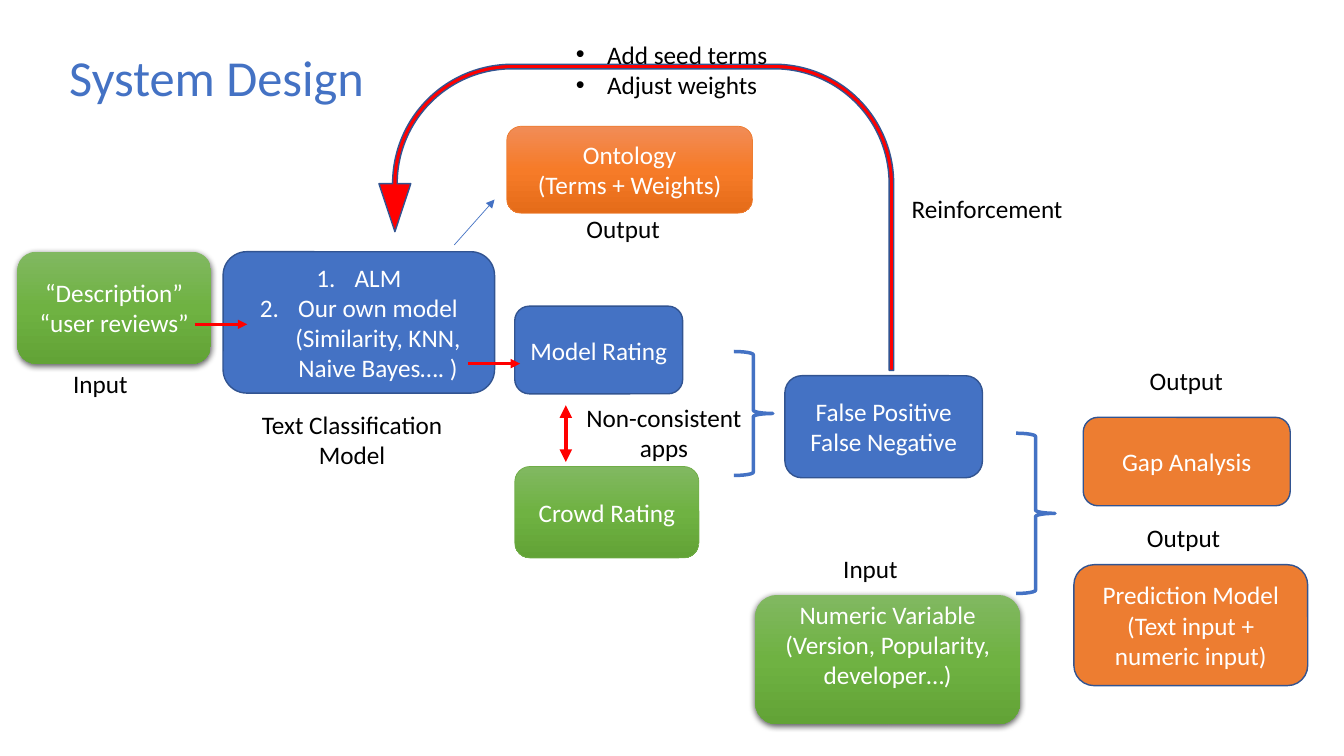
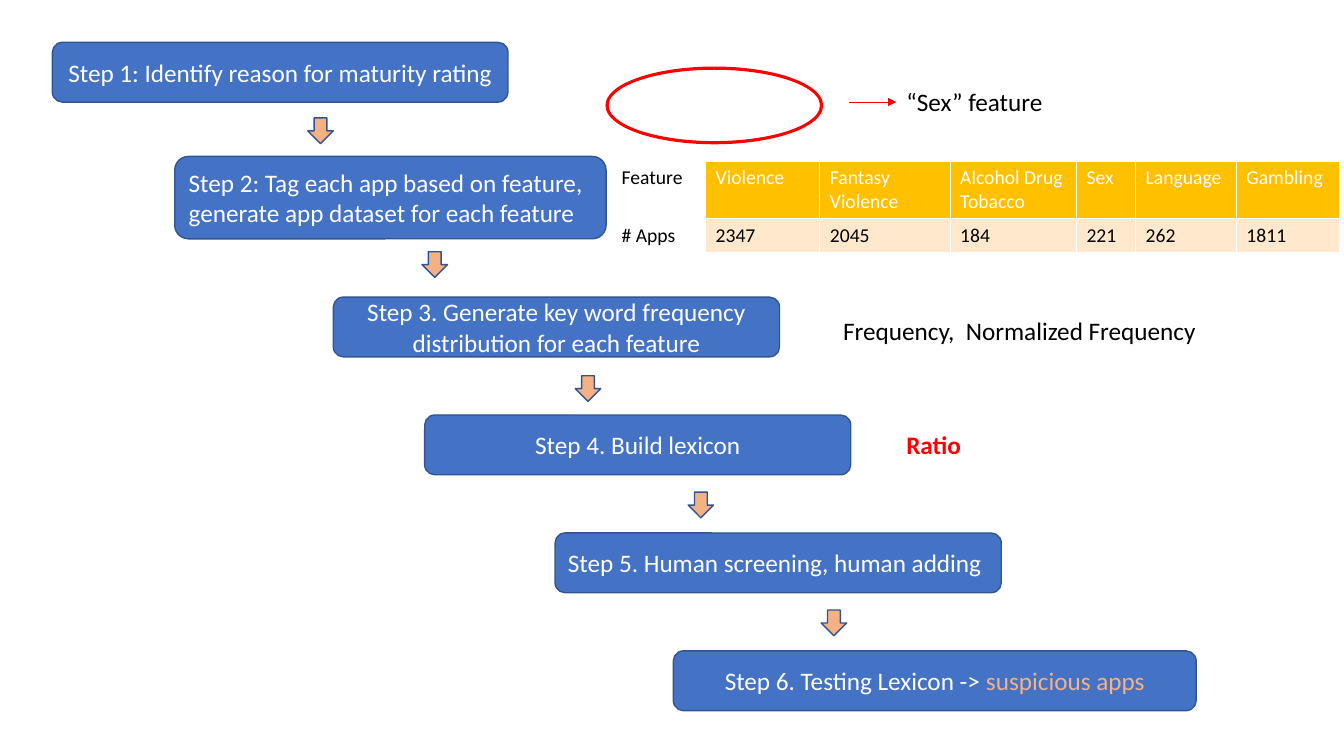
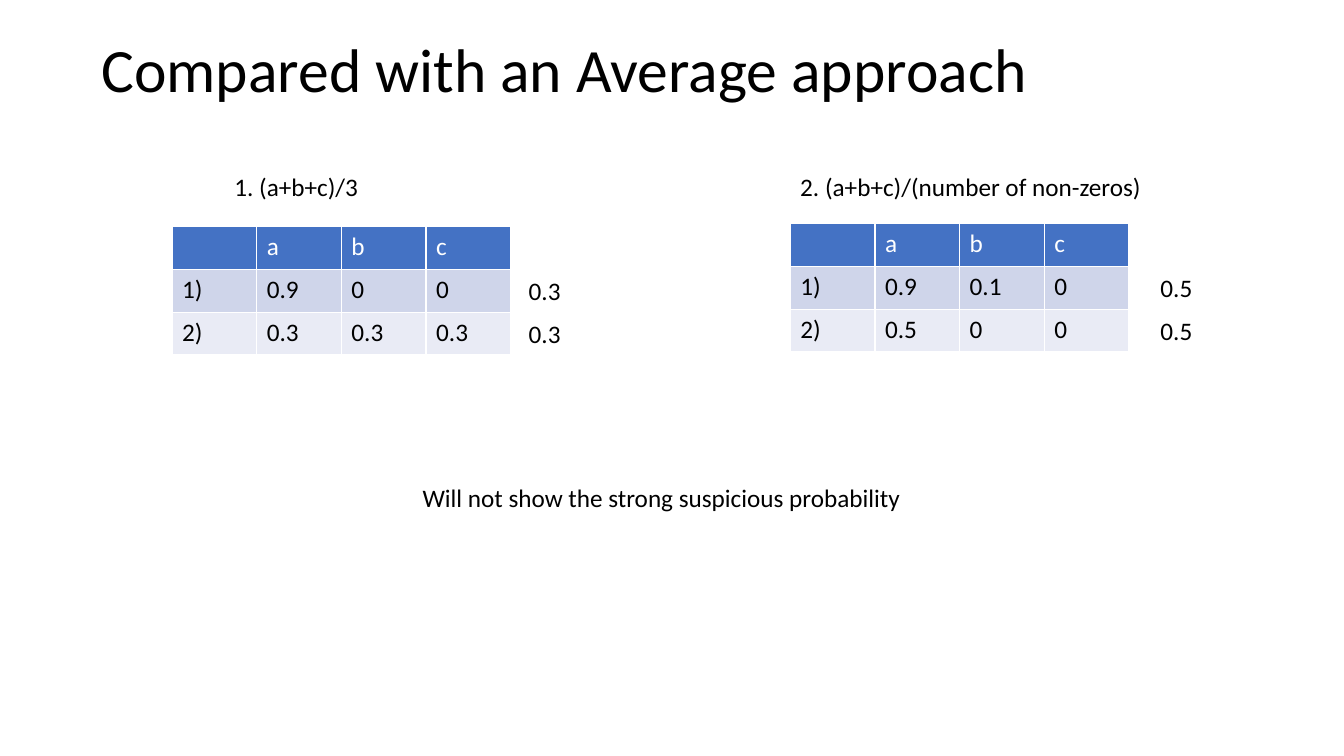
from copy import deepcopy
from dataclasses import dataclass

from lxml import etree
from pptx import Presentation
from pptx.dml.color import RGBColor
from pptx.enum.dml import MSO_FILL
from pptx.enum.shapes import MSO_CONNECTOR, MSO_SHAPE
from pptx.enum.text import MSO_ANCHOR, MSO_AUTO_SIZE, PP_ALIGN
from pptx.oxml.ns import qn
from pptx.util import Inches, Pt

LEFT, CENTER = PP_ALIGN.LEFT, PP_ALIGN.CENTER
TOP, MIDDLE = MSO_ANCHOR.TOP, MSO_ANCHOR.MIDDLE
ROUNDED, DOWN, DONUT = MSO_SHAPE.ROUNDED_RECTANGLE, MSO_SHAPE.DOWN_ARROW, MSO_SHAPE.DONUT
BRACE, UTURN = MSO_SHAPE.RIGHT_BRACE, MSO_SHAPE.U_TURN_ARROW
STRAIGHT = MSO_CONNECTOR.STRAIGHT
GRADIENT = MSO_FILL.GRADIENT

FONT = "Calibri"
SLIDE_WIDTH, SLIDE_HEIGHT = Inches(13.33), Inches(7.5)
COLORS = {
    "black": "000000", "white": "FFFFFF", "red": "FF0000",
    "blue": "4472C4", "navy": "325491", "orange": "ED7D31", "peach": "F4B183",
    "green": "70AD47", "gold": "FFC000", "cream": "FFE8CC",
    "band": "CFD5EA", "pale": "E9EBF5",
    "green top": "81B861", "green middle": "6FB242", "green bottom": "62A336",
    "orange top": "F18C57", "orange middle": "F67B28", "orange bottom": "E56C19",
}


# Lengths are percentages of the slide's width and height
def across(share: float) -> int:
    return round(SLIDE_WIDTH * share / 100)


def down(share: float) -> int:
    return round(SLIDE_HEIGHT * share / 100)


@dataclass(frozen=True)
class Area:
    left: float
    top: float
    width: float
    height: float = 5.3

    def emu(self) -> tuple[int, int, int, int]:
        return across(self.left), down(self.top), across(self.width), down(self.height)


@dataclass(frozen=True)
class Box:
    area: Area
    text: str
    fill: str = "blue"
    line: str | None = "navy"
    line_width: float = 1
    gradient: bool = False
    shadow: bool = False
    align: PP_ALIGN = CENTER
    bottom_inset: float = 0.05
    accent: str = ""


@dataclass(frozen=True)
class Label:
    area: Area
    text: str
    align: PP_ALIGN = LEFT
    color: str = "black"
    bold: bool = False


@dataclass(frozen=True)
class Arrow:
    start: tuple[float, float]
    end: tuple[float, float]
    color: str = "red"
    width: float = 2.25
    double: bool = False


@dataclass(frozen=True)
class Average:
    left: float
    top: float
    rows: list[list[str]]
    results: list[str]
    result_left: float


def rgb(name: str) -> RGBColor:
    return RGBColor.from_string(COLORS[name])


# Text
def format_text(frame, size: float = 18, color: str = "black",
                align: PP_ALIGN = LEFT, bold: bool = False) -> None:
    for para in frame.paragraphs:
        para.alignment = align
        for span in para.runs:
            font = span.font
            font.name, font.size, font.bold = FONT, Pt(size), bold
            font.color.rgb = rgb(color)


def add_marker(para, indent: float, tag: str, **attributes: str) -> None:
    properties = para._p.get_or_add_pPr()
    properties.set("marL", str(Inches(indent)))
    properties.set("indent", str(-Inches(indent)))
    if tag == "a:buChar":
        etree.SubElement(properties, qn("a:buFont"), typeface="Arial")
    etree.SubElement(properties, qn(tag), **attributes)


def place_placeholder(holder, area: Area, text: str, anchor: MSO_ANCHOR):
    holder.left, holder.top, holder.width, holder.height = area.emu()
    frame = holder.text_frame
    frame.text = text
    frame.word_wrap = True
    frame.auto_size = MSO_AUTO_SIZE.NONE
    frame.vertical_anchor = anchor
    return frame


def add_title(slide, area: Area, text: str, size: float, color: str) -> None:
    frame = place_placeholder(slide.shapes.title, area, text, MIDDLE)
    frame.paragraphs[0].line_spacing = 0.9
    format_text(frame, size, color)


def add_label(slide, label: Label) -> None:
    frame = slide.shapes.add_textbox(*label.area.emu()).text_frame
    frame.word_wrap = True
    frame.text = label.text
    format_text(frame, color=label.color, align=label.align, bold=label.bold)


# Shapes and arrows
def add_figure(slide, kind, area: Area, fill: str | None, line: str | None,
               line_width: float = 1, adjustments: tuple[float, ...] = ()):
    shape = slide.shapes.add_shape(kind, *area.emu())
    shape.shadow.inherit = False
    for index, value in enumerate(adjustments):
        shape.adjustments[index] = value
    if fill:
        shape.fill.solid()
        shape.fill.fore_color.rgb = rgb(fill)
    else:
        shape.fill.background()
    if line:
        shape.line.color.rgb = rgb(line)
        shape.line.width = Pt(line_width)
    else:
        shape.line.fill.background()
    return shape


def paint_gradient(shape, name: str) -> None:
    shape.fill.gradient()
    shape.fill.gradient_angle = 270
    stop_list = shape.element.spPr.find(f".//{qn('a:gsLst')}")
    stop_list.insert(1, deepcopy(stop_list[0]))
    assert shape.fill.type == GRADIENT
    for index, part in enumerate(("top", "middle", "bottom")):
        stop = shape.fill.gradient_stops[index]
        stop.color.rgb = rgb(f"{name} {part}")
        stop.position = index / 2


def add_shadow(shape) -> None:
    effects = shape.element.spPr.find(qn("a:effectLst"))
    shadow = etree.SubElement(effects, qn("a:outerShdw"), blurRad=str(Pt(4.5)),
                              dist=str(Pt(1.5)), dir="5400000", rotWithShape="0")
    color = etree.SubElement(shadow, qn("a:srgbClr"), val=COLORS["black"])
    etree.SubElement(color, qn("a:alpha"), val="63000")


def add_box(slide, box: Box):
    shape = add_figure(slide, ROUNDED, box.area, box.fill, box.line, box.line_width)
    if box.gradient:
        paint_gradient(shape, box.fill)
    if box.shadow:
        add_shadow(shape)
    frame = shape.text_frame
    frame.word_wrap = True
    frame.vertical_anchor = MIDDLE
    frame.margin_bottom = Inches(box.bottom_inset)
    frame.text = box.text
    if box.accent:
        frame.paragraphs[0].add_run().text = box.accent
    format_text(frame, color="white", align=box.align)
    if box.accent:
        frame.paragraphs[0].runs[-1].font.color.rgb = rgb("peach")
    return shape


def add_arrow(slide, arrow: Arrow) -> None:
    (start_x, start_y), (end_x, end_y) = arrow.start, arrow.end
    connector = slide.shapes.add_connector(
        STRAIGHT, across(start_x), down(start_y), across(end_x), down(end_y))
    connector.line.color.rgb = rgb(arrow.color)
    connector.line.width = Pt(arrow.width)
    outline = connector.line._get_or_add_ln()
    if arrow.double:
        etree.SubElement(outline, qn("a:headEnd"), type="triangle")
    etree.SubElement(outline, qn("a:tailEnd"), type="triangle")
    etree.SubElement(connector.element.spPr, qn("a:effectLst"))


# Tables
def add_borders(cell) -> None:
    properties = cell._tc.get_or_add_tcPr()
    for side in ("a:lnL", "a:lnR", "a:lnT", "a:lnB"):
        border = etree.SubElement(properties, qn(side), w=str(Pt(1)))
        paint = etree.SubElement(border, qn("a:solidFill"))
        etree.SubElement(paint, qn("a:srgbClr"), val=COLORS["white"])


def add_grid(slide, left: float, top: float, columns: list[float], heights: list[float],
             rows: list[list[str]], fills: list[str], size: float,
             plain_first: bool = False) -> None:
    area = Area(left, top, sum(columns), sum(heights))
    table = slide.shapes.add_table(len(rows), len(columns), *area.emu()).table
    for column, width in zip(table.columns, columns):
        column.width = across(width)
    for row_index, texts in enumerate(rows):
        table.rows[row_index].height = down(heights[row_index])
        for column_index, text in enumerate(texts):
            cell = table.cell(row_index, column_index)
            plain = plain_first and column_index == 0
            add_borders(cell)
            cell.fill.solid()
            cell.fill.fore_color.rgb = rgb("white" if plain else fills[row_index])
            cell.text_frame.text = text
            header = row_index == 0 and not plain
            format_text(cell.text_frame, size, "white" if header else "black")


# Slide 1: system design
METHODS = Box(Area(16.6, 33.3, 20.2, 18.7),
              "ALM\nOur own model\v(Similarity, KNN, Naive Bayes…. )")
DESIGN_BOXES = [
    Box(Area(1.3, 33.3, 14.4, 14.8), "“Description”\n“user reviews”",
        "green", None, gradient=True, shadow=True),
    Box(Area(38.3, 40.5, 12.5, 11.6), "Model Rating"),
    Box(Area(38.3, 61.7, 13.7, 12.1), "Crowd Rating", "green", "green", 0.5, gradient=True),
    Box(Area(58.4, 49.7, 14.7, 13.5), "False Positive\nFalse Negative"),
    Box(Area(56.2, 78.7, 19.7, 17.1), "Numeric Variable\n(Version, Popularity, developer…)",
        "green", None, gradient=True, shadow=True, bottom_inset=0.35),
    Box(Area(37.7, 16.7, 18.3, 11.5), "Ontology\n(Terms + Weights)",
        "orange", "orange", 0.5, gradient=True),
    Box(Area(80.6, 55.2, 15.4, 11.7), "Gap Analysis", "orange"),
    Box(Area(79.9, 74.7, 17.4, 16), "Prediction Model (Text input + numeric input)", "orange"),
]
DESIGN_LABELS = [
    Label(Area(4.7, 48.1, 10.4), "Input"),
    Label(Area(18, 53.5, 16.4, 9.5), "Text Classification Model", CENTER),
    Label(Area(42.5, 52.5, 13.8, 9.5), "Non-consistent\napps", CENTER),
    Label(Area(62, 72.5, 10.4), "Input"),
    Label(Area(84.6, 68.5, 8), "Output"),
    Label(Area(42.9, 27.6, 8), "Output"),
    Label(Area(84.8, 47.7, 8), "Output"),
    Label(Area(67.1, 24.9, 15.5), "Reinforcement"),
]
DESIGN_ARROWS = [
    Arrow((42.1, 53.6), (42.1, 61.1), width=3, double=True),
    Arrow((33.8, 32.4), (36.8, 26.4), "blue", 0.5),
    Arrow((14.5, 42.9), (18.4, 42.9)),
    Arrow((34.8, 48.1), (38.7, 48.1)),
]
BRACES = [Area(54.6, 46.5, 2.9, 16.4), Area(75.6, 57.3, 2.9, 21.2)]


def build_design(deck) -> None:
    slide = deck.slides.add_slide(deck.slide_layouts[1])
    add_title(slide, Area(4.4, 5.9, 25, 9.5), "System Design", 36, "blue")
    for box in DESIGN_BOXES:
        add_box(slide, box)
    methods = add_box(slide, METHODS)
    for para in methods.text_frame.paragraphs:
        add_marker(para, 0.38, "a:buAutoNum", type="arabicPeriod")
    for area in BRACES:
        add_figure(slide, BRACE, area, None, "blue", 2.5)
    for arrow in DESIGN_ARROWS:
        add_arrow(slide, arrow)
    for label in DESIGN_LABELS:
        add_label(slide, label)
    # Feedback loop and its list
    loop = add_figure(slide, UTURN, Area(28.2, 8.5, 38.3, 40.5), "red", "navy",
                      adjustments=(0.015, 0.052, 0.157, 0.438, 0.547))
    loop.element.spPr.find(qn("a:xfrm")).set("flipH", "1")
    actions = slide.placeholders[1]
    frame = place_placeholder(actions, Area(42.1, 4.5, 17, 9.5),
                              "Add seed terms\nAdjust weights", TOP)
    for para in frame.paragraphs:
        para.space_before = Pt(0)
        add_marker(para, 0.31, "a:buChar", char="•")
    format_text(frame)
    slide.shapes.element.append(actions.element)


# Slide 2: steps of the lexicon
STEPS = [
    Box(Area(3.9, 5.6, 33.9, 7.9), "Step 1: Identify reason for maturity rating"),
    Box(Area(13, 20.7, 32.1, 10.9),
        "Step 2: Tag each app based on feature, generate app dataset for each feature",
        align=LEFT),
    Box(Area(24.8, 39.3, 33.2, 7.9),
        "Step 3. Generate key word frequency distribution for each feature"),
    Box(Area(31.6, 54.9, 31.7, 7.9), "Step 4. Build lexicon"),
    Box(Area(41.3, 70.5, 33.2, 7.9), "Step 5. Human screening, human adding", align=LEFT),
    Box(Area(50.1, 86.1, 38.9, 7.9), "Step 6. Testing Lexicon -> ", accent="suspicious apps"),
]
STEP_ARROWS = [(22.9, 15.6), (31.4, 33.3), (42.8, 49.7), (51.2, 65.1), (61.1, 80.7)]
STEP_LABELS = [
    Label(Area(66.7, 10.8, 13), "“Sex” feature"),
    Label(Area(66.7, 56.1, 7), "Ratio", color="red", bold=True),
    Label(Area(62, 41.1, 28.5), "Frequency,  Normalized Frequency"),
]
FEATURES = [
    ["Feature", "Violence", "Fantasy Violence", "Alcohol Drug Tobacco",
     "Sex", "Language", "Gambling"],
    ["# Apps", "2347", "2045", "184", "221", "262", "1811"],
]


def build_steps(deck) -> None:
    slide = deck.slides.add_slide(deck.slide_layouts[6])
    for step in STEPS:
        add_box(slide, step)
    for left, top in STEP_ARROWS:
        add_figure(slide, DOWN, Area(left, top, 1.9, 3.4), "peach", "navy")
    add_figure(slide, DONUT, Area(45.1, 8.9, 16.1, 10.1), "red", "red", adjustments=(0.024,))
    add_arrow(slide, Arrow((63.2, 13.5), (66.7, 13.5), width=0.5))
    for label in STEP_LABELS:
        add_label(slide, label)
    add_grid(slide, 45.5, 21.3, [7, 8.5, 9.7, 9.4, 4.4, 7.5, 7.7], [7.6, 4.5],
             FEATURES, ["gold", "cream"], 14, plain_first=True)


# Slide 3: averages
AVERAGES = [
    Average(12.8, 30, [["1)", "0.9", "0", "0"], ["2)", "0.3", "0.3", "0.3"]],
            ["0.3", "0.3"], 38.6),
    Average(58.8, 29.6, [["1)", "0.9", "0.1", "0"], ["2)", "0.5", "0", "0"]],
            ["0.5", "0.5"], 85.6),
]
AVERAGE_LABELS = [
    Label(Area(16.7, 22, 14.8), "1. (a+b+c)/3"),
    Label(Area(58.8, 22, 28.7), "2. (a+b+c)/(number of non-zeros)"),
    Label(Area(30.7, 63.1, 40), "Will not show the strong suspicious probability"),
]
ROW_HEIGHT = 5.65


def build_averages(deck) -> None:
    slide = deck.slides.add_slide(deck.slide_layouts[5])
    add_title(slide, Area(6.8, 0, 86.2, 19.3), "Compared with an Average approach", 44, "black")
    for label in AVERAGE_LABELS:
        add_label(slide, label)
    for average in AVERAGES:
        add_grid(slide, average.left, average.top, [6.3] * 4, [ROW_HEIGHT] * 3,
                 [["", "a", "b", "c"], *average.rows], ["blue", "band", "pale"], 18)
        for number, result in enumerate(average.results, start=1):
            top = average.top + number * ROW_HEIGHT + 0.15
            add_label(slide, Label(Area(average.result_left, top, 5), result))


def main() -> None:
    deck = Presentation()
    deck.slide_width, deck.slide_height = SLIDE_WIDTH, SLIDE_HEIGHT
    build_design(deck)
    build_steps(deck)
    build_averages(deck)
    deck.save("out.pptx")


if __name__ == "__main__":
    main()
